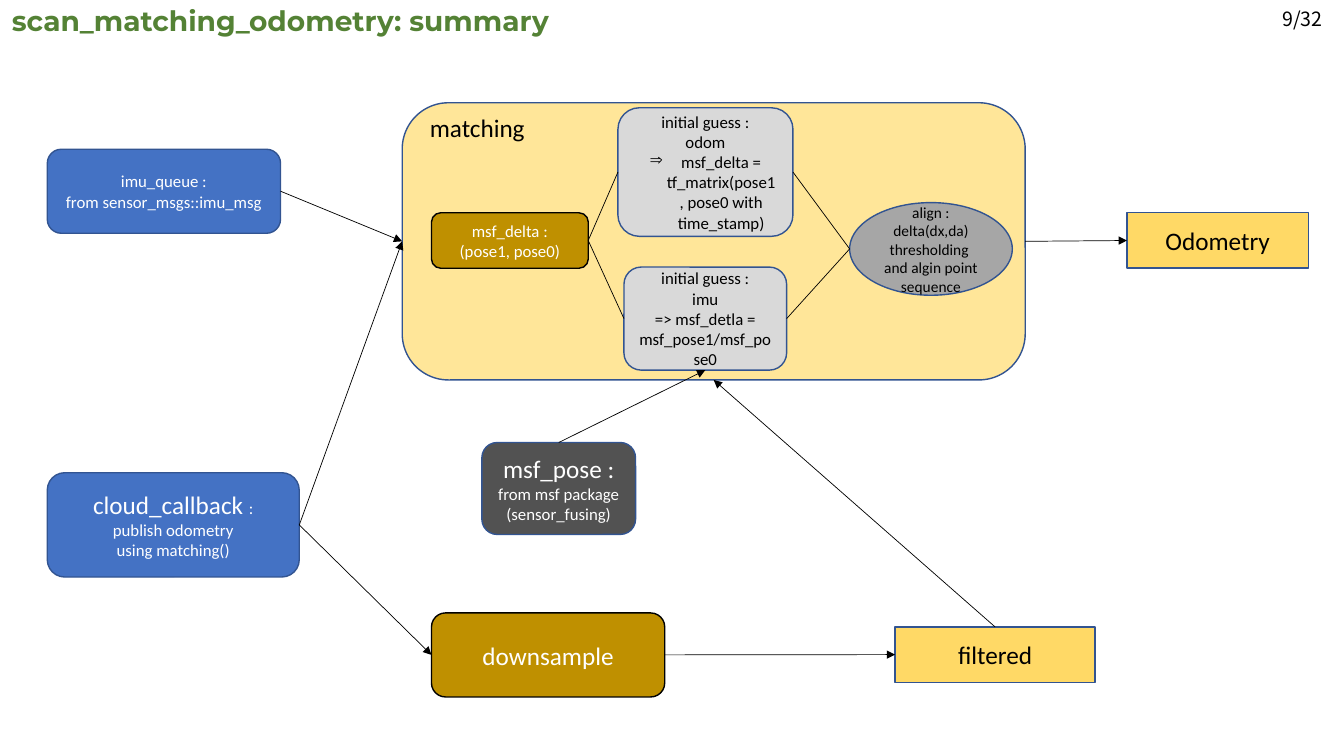
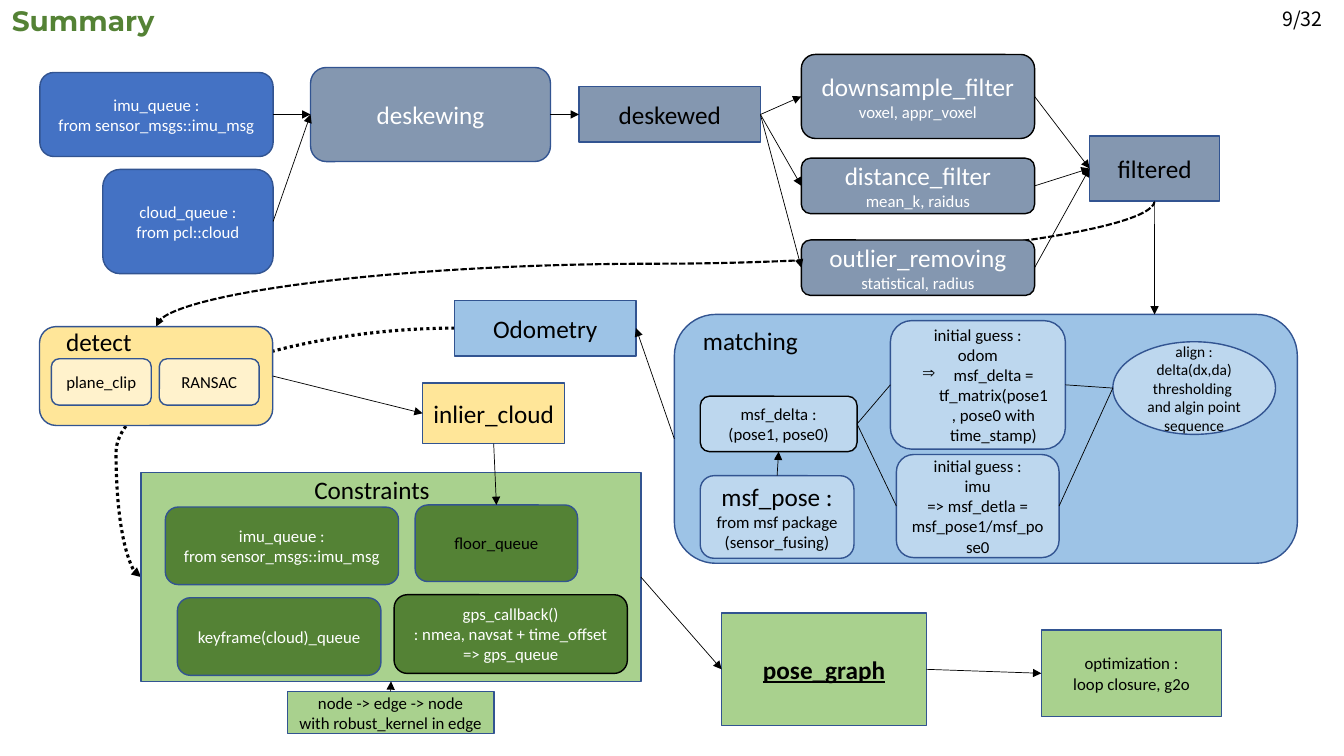
from lxml import etree
from pptx import Presentation
from pptx.dml.color import RGBColor
from pptx.enum.dml import MSO_LINE
from pptx.enum.shapes import MSO_CONNECTOR, MSO_SHAPE
from pptx.enum.text import MSO_ANCHOR, MSO_AUTO_SIZE, PP_ALIGN
from pptx.oxml.ns import qn
from pptx.util import Pt

ROUND, RECT, OVAL = MSO_SHAPE.ROUNDED_RECTANGLE, MSO_SHAPE.RECTANGLE, MSO_SHAPE.OVAL
STRAIGHT, CURVE = MSO_CONNECTOR.STRAIGHT, MSO_CONNECTOR.CURVE
DOT, DASH = MSO_LINE.ROUND_DOT, MSO_LINE.SQUARE_DOT
LEFT, CENTER = PP_ALIGN.LEFT, PP_ALIGN.CENTER
ABOVE, MIDDLE, BELOW = MSO_ANCHOR.TOP, MSO_ANCHOR.MIDDLE, MSO_ANCHOR.BOTTOM
GROW = MSO_AUTO_SIZE.SHAPE_TO_FIT_TEXT
T, L, B, R = range(4)  # connection sites of a box
OVAL_LEFT = 2          # an ellipse has eight sites


class Theme:
    font, title_font, page_font = "Calibri", "Montserrat", "Noto Sans CJK KR"
    title_size, head, page_size, body, small = 20, 18, 14, 12, 11
    black, white, edge = "000000", "FFFFFF", "325491"
    blue, slate, charcoal = "4472C4", "8497B0", "525252"
    ochre, gold, sand, cream = "BF9000", "FFD966", "FFE699", "FFF2CC"
    silver, grey = "D9D9D9", "A6A6A6"
    sky, ice = "9DC3E6", "BDD7EE"
    green, leaf = "548235", "A9D18E"


H, N, S = Theme.head, Theme.body, Theme.small
BLACK, WHITE = Theme.black, Theme.white

# Wording used on both slides: paragraphs of (text, size) runs
IMU_QUEUE = [[("imu_queue :", N)], [("from sensor_msgs::imu_msg", N)]]
MSF_DELTA = [[("msf_delta :", N)], [("(pose1, pose0)", N)]]
MSF_POSE = [[("msf_pose :", H)], [("from msf package", N)], [("(sensor_fusing)", N)]]
GUESS_IMU = [[("initial guess :", N)], [("imu", N)],
             [("=> msf_detla = msf_pose1/msf_pose0", N)]]
GUESS_ODOM = [[("initial guess :", N)], [("odom", N)],
              [("⇒msf_delta = tf_matrix(pose1, pose0 with time_stamp)", N)]]
ALIGN = [[("align :", S)], [("delta(dx,da) thresholding ", S)],
         [("and algin point sequence", S)]]
MATCHING, ODOMETRY, FILTERED = ([[(word, H)]] for word in ("matching", "Odometry", "filtered"))

# Each box: name, shape, (left, top, width, height), fill, text colour, paragraphs, edge
# Each link: start box, site, end box or point, site, arrowhead
SLIDES = [
    ("scan_matching_odometry: summary", [
        ("matching", ROUND, (287.3, 73.4, 445, 198), Theme.sand, BLACK, [], Theme.edge),
        ("downsample", ROUND, (308.2, 437.8, 166.6, 60), Theme.ochre, WHITE,
         [[("downsample", H)]], BLACK),
        ("msf_delta", ROUND, (308.2, 152, 112, 39.6), Theme.ochre, WHITE, MSF_DELTA, BLACK),
        ("imu_queue", ROUND, (33.8, 106.6, 166.6, 60), Theme.blue, WHITE, IMU_QUEUE, Theme.edge),
        ("cloud", ROUND, (33.8, 337.7, 180, 74.5), Theme.blue, WHITE,
         [[("cloud_callback ", H), (":", N)], [("publish odometry", N)],
          [("using matching()", N)]], Theme.edge),
        ("odometry", RECT, (805, 152, 129.6, 39.6), Theme.gold, BLACK, ODOMETRY, Theme.edge),
        ("filtered", RECT, (639.4, 447.8, 142.8, 39.6), Theme.gold, BLACK, FILTERED, Theme.edge),
        ("guess_imu", ROUND, (445.7, 190.8, 116.2, 73.6), Theme.silver, BLACK,
         GUESS_IMU, Theme.edge),
        ("guess_odom", ROUND, (441.4, 77, 125, 91.8), Theme.silver, BLACK,
         GUESS_ODOM, Theme.edge),
        ("align", OVAL, (606.9, 144.7, 116.2, 66.2), Theme.grey, BLACK, ALIGN, Theme.edge),
        ("matching_label", None, (299.5, 77, 82.8, 28.8), None, BLACK, MATCHING, None),
        ("msf_pose", ROUND, (344.2, 316.1, 109.8, 65.7), Theme.charcoal, WHITE,
         MSF_POSE, Theme.edge),
    ], [
        ("cloud", R, "downsample", L, True),
        ("downsample", R, "filtered", L, True),
        ("imu_queue", R, "matching", L, True),
        ("cloud", R, "matching", L, True),
        ("msf_delta", R, "guess_imu", L, False),
        ("msf_delta", R, "guess_odom", L, False),
        ("msf_pose", T, "guess_imu", B, True),
        ("filtered", T, "matching", B, True),
        ("matching", R, "odometry", L, True),
        ("guess_odom", R, "align", L, False),
        ("guess_imu", R, "align", L, False),
    ]),
    ("Summary", [
        # Filtering row
        ("downsample", ROUND, (572.4, 38.9, 166.6, 60), Theme.slate, WHITE,
         [[("downsample_filter", H)], [("voxel, appr_voxel", N)]], BLACK),
        ("distance", ROUND, (572.4, 113, 166.6, 39.6), Theme.slate, WHITE,
         [[("distance_filter", H)], [("mean_k, raidus", N)]], BLACK),
        ("outlier", ROUND, (572.4, 171.4, 166.6, 39.6), Theme.slate, WHITE,
         [[("outlier_removing", H)], [("statistical, radius", N)]], BLACK),
        ("imu_queue", ROUND, (28.5, 51.8, 166.6, 60), Theme.blue, WHITE, IMU_QUEUE, Theme.edge),
        ("cloud_queue", ROUND, (73.4, 121, 121.7, 74.5), Theme.blue, WHITE,
         [[("cloud_queue :", N)], [("from pcl::cloud", N)]], Theme.edge),
        ("deskewing", ROUND, (221.8, 48.2, 171.4, 67.2), Theme.slate, WHITE,
         [[("deskewing", H)]], Theme.edge),
        ("deskewed", RECT, (413.6, 62, 129.6, 39.6), Theme.slate, BLACK,
         [[("deskewed", H)]], Theme.edge),
        ("filtered", RECT, (778.3, 97.2, 92.9, 46.3), Theme.slate, BLACK, FILTERED, Theme.edge),
        # Matching
        ("matching", ROUND, (481.7, 224.6, 445, 177.8), Theme.sky, BLACK, [], Theme.edge),
        ("msf_delta", ROUND, (500.2, 283, 112, 39.6), Theme.ice, BLACK, MSF_DELTA, BLACK),
        ("odometry", RECT, (324.7, 214.6, 129.6, 39.6), Theme.sky, BLACK, ODOMETRY, Theme.edge),
        ("guess_imu", ROUND, (640.3, 324.7, 116.2, 73.6), Theme.ice, BLACK,
         GUESS_IMU, Theme.edge),
        ("guess_odom", ROUND, (636, 229, 125, 91.8), Theme.ice, BLACK, GUESS_ODOM, Theme.edge),
        ("align", OVAL, (794.9, 244.1, 116.2, 66.2), Theme.ice, BLACK, ALIGN, Theme.edge),
        ("matching_label", None, (494.6, 229, 82.8, 28.8), None, BLACK, MATCHING, None),
        ("msf_pose", ROUND, (500.2, 339.8, 109.8, 59), Theme.ice, BLACK, MSF_POSE, Theme.edge),
        # Detection
        ("detect", ROUND, (28.2, 233.3, 166.6, 70.6), Theme.sand, BLACK, [], Theme.edge),
        ("detect_label", None, (39.6, 229.7, 62, 28.8), None, BLACK, [[("detect", H)]], None),
        ("ransac", ROUND, (113.8, 256.3, 71.3, 33.1), Theme.cream, BLACK,
         [[("RANSAC", N)]], Theme.edge),
        ("plane_clip", ROUND, (36.7, 256.3, 71.3, 33.1), Theme.cream, BLACK,
         [[("plane_clip", N)]], Theme.edge),
        ("inlier", RECT, (301.9, 273.6, 101.5, 43.2), Theme.sand, BLACK,
         [[("inlier_cloud", H)]], Theme.edge),
        # Constraints and pose graph
        ("constraints", RECT, (100.8, 337.7, 357, 149), Theme.leaf, BLACK, [], Theme.edge),
        ("gps", ROUND, (281.5, 424.8, 166.6, 56.2), Theme.green, WHITE,
         [[("gps_callback()", N)], [(": nmea, navsat + time_offset", N)],
          [("=> gps_queue", N)]], BLACK),
        ("floor", ROUND, (296.6, 360.7, 116, 54.7), Theme.green, BLACK,
         [[("floor_queue", N)]], Theme.edge),
        ("keyframe", ROUND, (126.7, 427, 145.4, 55.4), Theme.green, WHITE,
         [[("keyframe(cloud)_queue", N)]], Theme.edge),
        ("constraints_label", None, (217.4, 335.5, 98, 28.8), None, BLACK,
         [[("Constraints", H)]], None),
        ("pose_graph", RECT, (515.5, 437.8, 146.2, 80.6), Theme.leaf, BLACK,
         [[("pose_graph", H)]], Theme.edge),
        ("optimization", RECT, (743.8, 450, 128.9, 61.9), Theme.leaf, BLACK,
         [[("optimization :", N)], [("loop closure, g2o", N)]], Theme.edge),
        ("edge_note", RECT, (205.2, 493.9, 147.6, 30.2), Theme.leaf, BLACK,
         [[("node -> edge -> node", N)], [("with robust_kernel in edge", N)]], Theme.edge),
        ("imu_constraint", ROUND, (118.1, 362.2, 166.6, 55.4), Theme.green, WHITE,
         IMU_QUEUE, Theme.edge),
    ], [
        ("downsample", R, "filtered", L, True),
        ("distance", R, "filtered", L, True),
        ("outlier", R, "filtered", L, True),
        ("imu_queue", R, "deskewing", L, True),
        ("cloud_queue", R, "deskewing", L, True),
        ("deskewing", R, "deskewed", L, True),
        ("deskewed", R, "downsample", L, True),
        ("deskewed", R, "distance", L, True),
        ("deskewed", R, "outlier", L, True),
        ("msf_delta", R, "guess_imu", L, False),
        ("msf_delta", R, "guess_odom", L, False),
        ("msf_pose", T, "msf_delta", B, True),
        ("matching", L, "odometry", R, True),
        ("guess_odom", R, "align", L, False),
        ("guess_imu", R, "align", L, False),
        ("filtered", B, (824.7, 224.6), None, True),
        ("detect", R, "inlier", L, True),
        ("constraints", R, "pose_graph", L, True),
        ("pose_graph", R, "optimization", L, True),
        ("edge_note", T, "constraints", B, True),
        ("inlier", B, "floor", T, True),
    ]),
]


def add_box(s, kind, at, fill, color, paras, edge, font=Theme.font, align=CENTER):
    """Add a filled shape, or a plain text box when kind is None."""
    at = [Pt(v) for v in at]
    if kind is None:
        sp = s.shapes.add_textbox(*at)
    else:
        sp = s.shapes.add_shape(kind, *at)
        sp.shadow.inherit = False
        sp.fill.solid()
        sp.fill.fore_color.rgb = RGBColor.from_string(fill)
        sp.line.color.rgb = RGBColor.from_string(edge)
        sp.line.width = Pt(1)
    tf = sp.text_frame
    tf.word_wrap = kind is not None
    tf.vertical_anchor = ABOVE if kind is None else MIDDLE
    if kind is None:
        tf.auto_size = GROW
    for i, runs in enumerate(paras):
        p = tf.add_paragraph() if i else tf.paragraphs[0]
        p.alignment = align
        for text, size in runs:
            if text.startswith("⇒"):
                pPr = p._p.get_or_add_pPr()
                pPr.set("marL", str(Pt(22.5)))
                pPr.set("indent", str(-Pt(22.5)))
                etree.SubElement(pPr, qn("a:buChar"), char="⇒")
            r = p.add_run()
            r.text = text.removeprefix("⇒")
            r.font.name = font
            r.font.size = Pt(size)
            r.font.color.rgb = RGBColor.from_string(color)
    return sp


def add_link(s, start, site, end, end_site, arrow, kind=STRAIGHT, width=0.5, dash=None):
    """Glue a black connector to its boxes; a tuple as end is a free point."""
    free = isinstance(end, tuple)
    x, y = [Pt(v) for v in end] if free else (end.left, end.top + end.height // 2)
    c = s.shapes.add_connector(kind, 0, 0, x, y)
    c.begin_connect(start, site)
    if not free and end.auto_shape_type == OVAL:
        c.end_connect(end, OVAL_LEFT)
        c.end_x, c.end_y = x, y
    elif not free:
        c.end_connect(end, end_site)
    c.line.color.rgb = RGBColor.from_string(BLACK)
    c.line.width = Pt(width)
    if dash:
        c.line.dash_style = dash
    if arrow:
        etree.SubElement(c.line._get_or_add_ln(), qn("a:tailEnd"), type="triangle")
    etree.SubElement(c._element.spPr, qn("a:effectLst"))
    return c


prs = Presentation()
prs.slide_width, prs.slide_height = Pt(960), Pt(540)

for title, boxes, links in SLIDES:
    s = prs.slides.add_slide(prs.slide_layouts[6])
    node = {name: add_box(s, *look) for name, *look in boxes}

    # Title and page number
    sp = add_box(s, None, (1.4, -0.7, 933, 31.5), None, Theme.green,
                 [[(title, Theme.title_size)]], None, Theme.title_font, LEFT)
    sp.text_frame.word_wrap = True
    sp.text_frame.paragraphs[0].runs[0].font.bold = True
    sp = add_box(s, None, (898.6, 0, 63.4, 25.2), None, BLACK,
                 [[("9/32", Theme.page_size)]], None, Theme.page_font)
    sp.text_frame.word_wrap = True
    sp.text_frame.auto_size = MSO_AUTO_SIZE.NONE
    sp.text_frame.vertical_anchor = BELOW
    sp.text_frame.paragraphs[0].line_spacing = 0.9

    # Arrows
    for start, site, end, end_site, arrow in links:
        add_link(s, node[start], site, node.get(end, end), end_site, arrow)

# Emphasis and heading alignment on the last slide
font = node["pose_graph"].text_frame.paragraphs[0].runs[0].font
font.bold = font.underline = True
node["constraints_label"].text_frame.paragraphs[0].alignment = LEFT

# Dotted curve, bulging left of both its ends
dotted = add_link(s, node["odometry"], L, node["constraints"], L, True, CURVE, 2.25, DOT)
geom = dotted._element.spPr.find(qn("a:prstGeom"))
etree.SubElement(geom.get_or_add_avLst(), qn("a:gd"), name="adj1", fmla="val 108000")

# Dashed curve, turned a quarter so that it leaves and arrives vertically
dashed = add_link(s, node["filtered"], B, node["detect"], T, True, CURVE, 1.5, DASH)
mid_x, mid_y = dashed.left + dashed.width // 2, dashed.top + dashed.height // 2
dashed.width, dashed.height = dashed.height, dashed.width
dashed.left, dashed.top = mid_x - dashed.width // 2, mid_y - dashed.height // 2
xfrm = dashed._element.spPr.find(qn("a:xfrm"))
xfrm.attrib.pop("flipH", None)
xfrm.set("rot", "5400000")

# Both curves run behind the boxes
for c in (dashed, dotted):
    s.shapes._spTree.insert(2, c._element)

prs.save("out.pptx")
